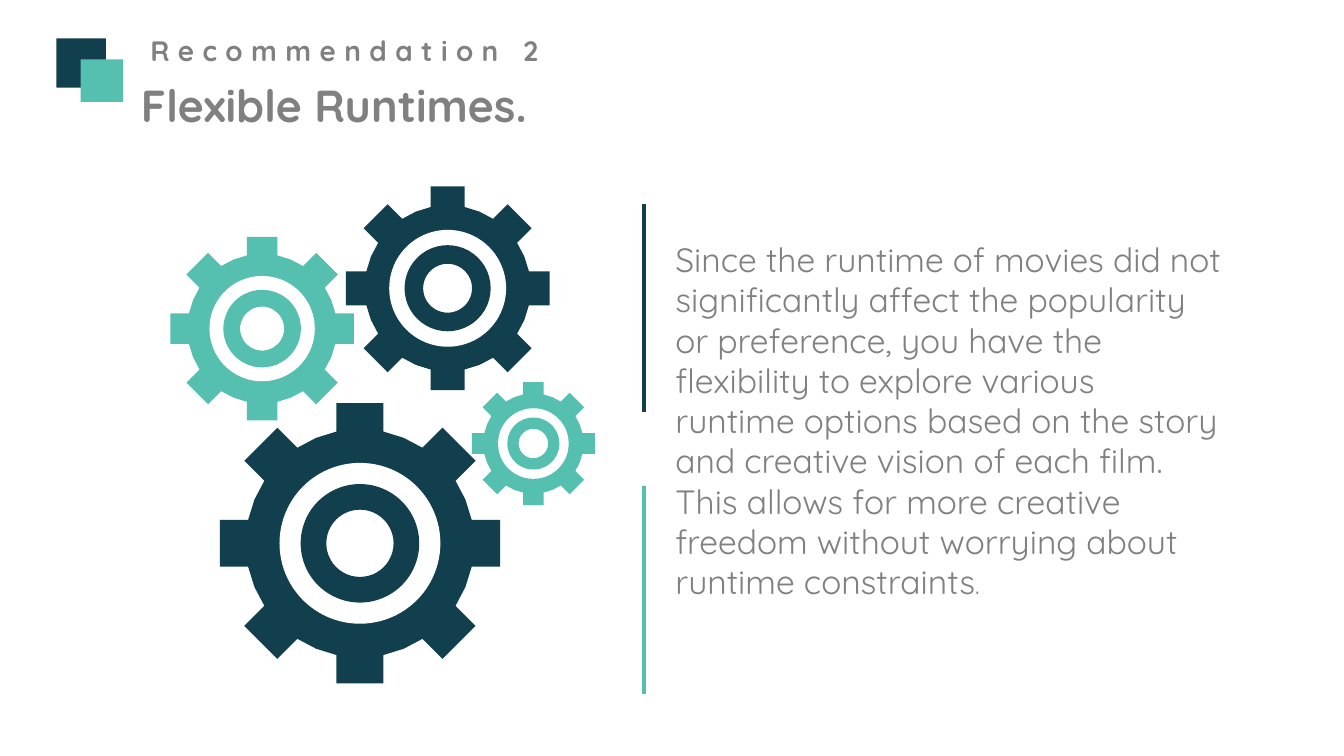
import math
import pptx
import pptx.util
import pptx.dml.color
import pptx.enum.shapes
import pptx.enum.text
import pptx.oxml.ns
import lxml.etree

Inches = pptx.util.Inches
SHAPES = pptx.enum.shapes.MSO_SHAPE
COLORS = {"navy": "113F4E", "teal": "55C0AF", "grey": "808080", "white": "FFFFFF"}
FONT = "Quicksand"
TEETH = 8
TOOTH_HALF_WIDTH = 0.167
BODY_RADIUS = 0.815
GAP_RADIUS = 0.574
RING_RADIUS = 0.423
HOLE_RADIUS = 0.24


def paint(shape, color):
    shape.shadow.inherit = False
    shape.fill.solid()
    shape.fill.fore_color.rgb = pptx.dml.color.RGBColor.from_string(COLORS[color])
    shape.line.fill.background()


def add_text(left, top, width, height, pieces, bold=False):
    box = slide.shapes.add_textbox(Inches(left), Inches(top), Inches(width), Inches(height))
    box.text_frame.word_wrap = True
    for text, size in pieces:
        run = box.text_frame.paragraphs[0].add_run()
        run.text = text
        run.font.name = FONT
        run.font.size = pptx.util.Pt(size)
        run.font.bold = bold
        run.font.color.rgb = pptx.dml.color.RGBColor.from_string(COLORS["grey"])
    return box.text_frame


deck = pptx.Presentation()
deck.slide_width = Inches(13.33)
deck.slide_height = Inches(7.5)
slide = deck.slides.add_slide(deck.slide_layouts[6])

for top, color in [(2.02, "navy"), (4.82, "teal")]:
    divider = slide.shapes.add_connector(
        pptx.enum.shapes.MSO_CONNECTOR.STRAIGHT,
        Inches(6.39), Inches(top), Inches(6.39), Inches(top + 2.07))
    divider.line.color.rgb = pptx.dml.color.RGBColor.from_string(COLORS[color])
    divider.line.width = pptx.util.Pt(3)
    lxml.etree.SubElement(divider._element.spPr, pptx.oxml.ns.qn("a:effectLst"))

advice = (
    "Since the runtime of movies did not significantly affect the popularity or preference, "
    "you have the flexibility to explore various runtime options based on the story and "
    "creative vision of each film. This allows for more creative freedom without worrying "
    "about runtime constraints")
add_text(6.6, 2.32, 5.62, 4.14, [(advice, 24), (".", 18)])

tooth_angle = math.asin(TOOTH_HALF_WIDTH / BODY_RADIUS)
valley_angle = 2 * math.pi / TEETH - 2 * tooth_angle
gear_outline = []
for tooth in range(TEETH):
    turn = 2 * math.pi * tooth / TEETH
    for across in (-TOOTH_HALF_WIDTH, TOOTH_HALF_WIDTH):
        gear_outline.append((math.cos(turn) - across * math.sin(turn),
                             math.sin(turn) + across * math.cos(turn)))
    for step in range(3):
        angle = turn + tooth_angle + valley_angle * step / 2
        gear_outline.append((BODY_RADIUS * math.cos(angle), BODY_RADIUS * math.sin(angle)))

gears = [
    (4.44, 2.86, 1.01, "navy"),
    (3.57, 5.39, 1.39, "navy"),
    (2.6, 3.26, 0.91, "teal"),
    (5.29, 4.4, 0.61, "teal"),
]
for center_x, center_y, size, color in gears:
    points = [(Inches(center_x + size * x), Inches(center_y + size * y)) for x, y in gear_outline]
    builder = slide.shapes.build_freeform(*points[0])
    builder.add_line_segments(points[1:], close=True)
    paint(builder.convert_to_shape(), color)
    for preset, radius, fill in [(SHAPES.OVAL, GAP_RADIUS, "white"),
                                 (SHAPES.DONUT, RING_RADIUS, color)]:
        reach = radius * size
        ring = slide.shapes.add_shape(
            preset, Inches(center_x - reach), Inches(center_y - reach),
            Inches(2 * reach), Inches(2 * reach))
        paint(ring, fill)
    ring.adjustments[0] = (RING_RADIUS - HOLE_RADIUS) / (2 * RING_RADIUS)

heading = add_text(1.3, 0.28, 4.23, 0.44, [("Recommendation 2", 20)], True)
heading.word_wrap = False
heading.paragraphs[0].alignment = pptx.enum.text.PP_ALIGN.CENTER
heading.paragraphs[0].runs[0].font._element.set("spc", "600")

for left, top, side, color in [(0.56, 0.38, 0.49, "navy"), (0.8, 0.59, 0.42, "teal")]:
    square = slide.shapes.add_shape(
        SHAPES.RECTANGLE, Inches(left), Inches(top), Inches(side), Inches(side))
    paint(square, color)

add_text(1.3, 0.72, 11.13, 0.64, [("Flexible Runtimes.", 32)], True)

deck.save("out.pptx")
